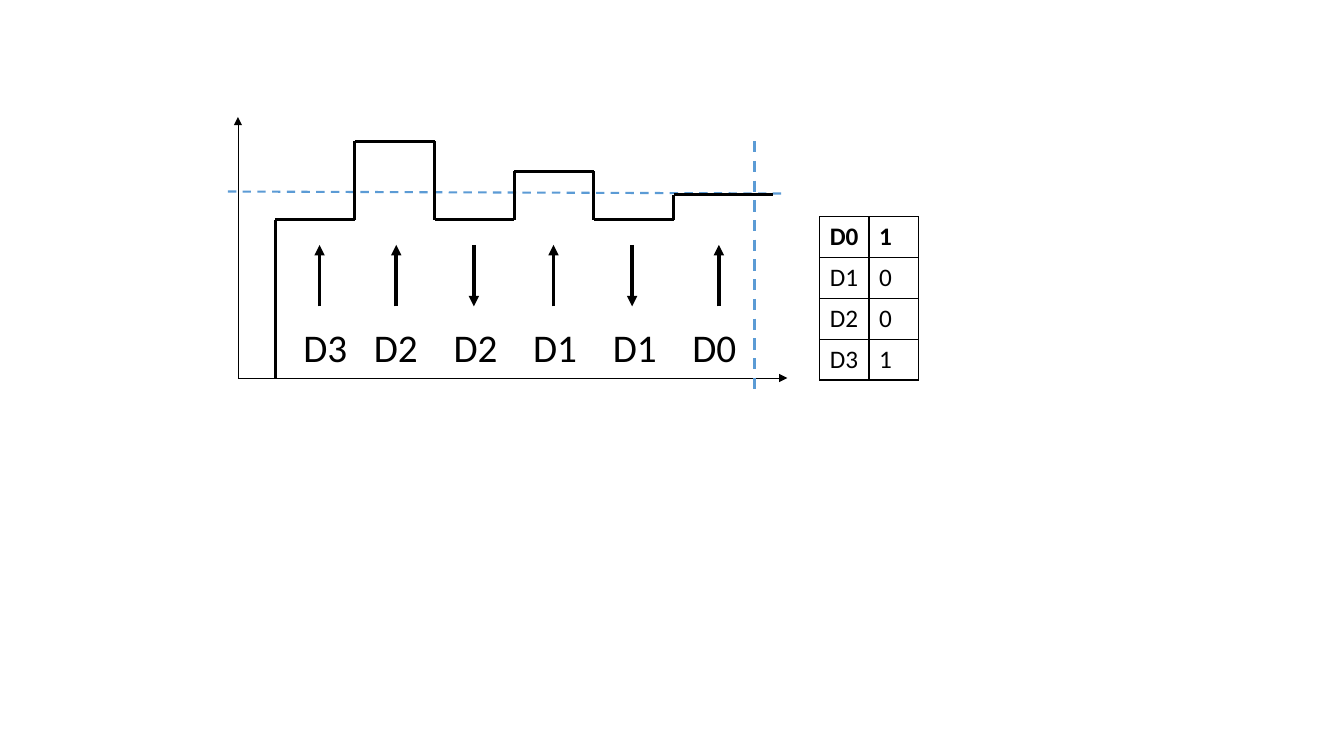
from dataclasses import dataclass

from lxml.etree import SubElement
from pptx import Presentation
from pptx.dml.color import RGBColor
from pptx.enum.dml import MSO_LINE
from pptx.enum.shapes import MSO_CONNECTOR
from pptx.oxml.ns import qn
from pptx.util import Inches, Pt


@dataclass(frozen=True)
class Theme:
    """Colours, font, type sizes and line widths of the slide."""
    ink: RGBColor = RGBColor(0x00, 0x00, 0x00)
    guide: RGBColor = RGBColor(0x5B, 0x9B, 0xD5)
    font: str = "Calibri"
    label_size: float = 28
    table_size: float = 18
    axis_width: float = 0.5
    guide_width: float = 1.5
    wave_width: float = 2
    arrow_width: float = 2.5
    border_width: float = 1


THEME = Theme()
STEP = 0.79
LABELS = ["D3", "D2", "D2", "D1", "D1", "D0"]
LEVELS = [1.02, 0.24, 1.02, 0.54, 1.02, 0.77]
ARROWS = [(0.81, True), (1.57, True), (2.34, False),
          (3.13, True), (3.91, False), (4.77, True)]
BITS = [("D0", "1"), ("D1", "0"), ("D2", "0"), ("D3", "1")]


def add_line(s, start, end, width, color=THEME.ink, arrow=False, dash=False):
    """Draw a straight line between two points given in inches."""
    sp = s.shapes.add_connector(MSO_CONNECTOR.STRAIGHT,
                                *[Inches(v) for v in (*start, *end)])
    sp.line.color.rgb = color
    sp.line.width = Pt(width)
    if dash:
        sp.line.dash_style = MSO_LINE.DASH
    if arrow:
        SubElement(sp.line._get_or_add_ln(), qn("a:tailEnd"), type="triangle")
    SubElement(sp._element.spPr, qn("a:effectLst"))


def add_text(p, text, size, bold=False):
    """Append one formatted run to a paragraph."""
    r = p.add_run()
    r.text = text
    r.font.name = THEME.font
    r.font.size = Pt(size)
    r.font.bold = bold
    r.font.color.rgb = THEME.ink


def add_axes(s, left, top, width, height):
    """Draw the two axes from the lower left corner of the box."""
    origin = (left, top + height)
    for end in [(left + width, top + height), (left, top)]:
        add_line(s, origin, end, THEME.axis_width, arrow=True)


def add_waveform(s, left, top, height):
    """Draw the stepped signal, rising from the base of the box."""
    y = top + height
    for i, level in enumerate(LEVELS):
        x = left + i * STEP
        last = i == len(LEVELS) - 1
        add_line(s, (x, y), (x, top + level), THEME.wave_width)
        y = top + level
        add_line(s, (x, y), (x + (0.99 if last else STEP), y), THEME.wave_width)


def add_arrows(s, left, top, height):
    """Draw the up and down arrows below the signal."""
    for x, up in ARROWS:
        ends = [(left + x, top), (left + x, top + height)]
        start, end = reversed(ends) if up else ends
        add_line(s, start, end, THEME.arrow_width, arrow=True)


def add_labels(s, left, top, width, height):
    """Write the bit labels on one line, spaced by tab stops."""
    box = [Inches(v) for v in (left, top, width, height)]
    tf = s.shapes.add_textbox(*box).text_frame
    tf.word_wrap = True
    p = tf.paragraphs[0]
    tabs = SubElement(p._p.get_or_add_pPr(), qn("a:tabLst"))
    for i in range(len(LABELS) - 1):
        SubElement(tabs, qn("a:tab"), pos=str(Inches(0.7 + i * STEP)), algn="l")
    add_text(p, "\t".join(LABELS), THEME.label_size)


def add_diagram(s, left, top, width, height):
    """Build the timing diagram in the given box."""
    add_axes(s, left, top, width, height)
    add_line(s, (left - 0.1, top + 0.74), (left + width, top + 0.76),
             THEME.guide_width, THEME.guide, dash=True)
    add_waveform(s, left + 0.37, top, height)
    add_line(s, (left + 5.12, top + 0.24), (left + 5.12, top + 2.73),
             THEME.wave_width, THEME.guide, dash=True)
    add_labels(s, left + 0.55, top + 2, 6.34, 0.57)
    add_arrows(s, left, top + 1.27, 0.61)


def add_borders(cell):
    """Give a cell a thin solid line on all four sides."""
    tc_pr = cell._tc.get_or_add_tcPr()
    for i, side in enumerate(("lnL", "lnR", "lnT", "lnB")):
        ln = tc_pr.makeelement(qn(f"a:{side}"), w=str(Pt(THEME.border_width)))
        fill = SubElement(ln, qn("a:solidFill"))
        SubElement(fill, qn("a:srgbClr"), val=str(THEME.ink))
        tc_pr.insert(i, ln)


def add_bit_table(s, left, top, width, height):
    """Build the table of bit values with a bold first row."""
    box = [Inches(v) for v in (left, top, width, height)]
    table = s.shapes.add_table(len(BITS), 2, *box).table
    table.first_row = table.horz_banding = False
    for i, row in enumerate(BITS):
        for j, text in enumerate(row):
            cell = table.cell(i, j)
            cell.fill.background()
            add_borders(cell)
            add_text(cell.text_frame.paragraphs[0], text,
                     THEME.table_size, bold=i == 0)


def main():
    """Create the slide and save the presentation."""
    prs = Presentation()
    prs.slide_width, prs.slide_height = Inches(13.33), Inches(7.5)
    s = prs.slides.add_slide(prs.slide_layouts[6])
    add_diagram(s, 2.36, 1.16, 5.45, 2.59)
    add_bit_table(s, 8.13, 2.15, 0.98, 1.62)
    prs.save("out.pptx")


main()
